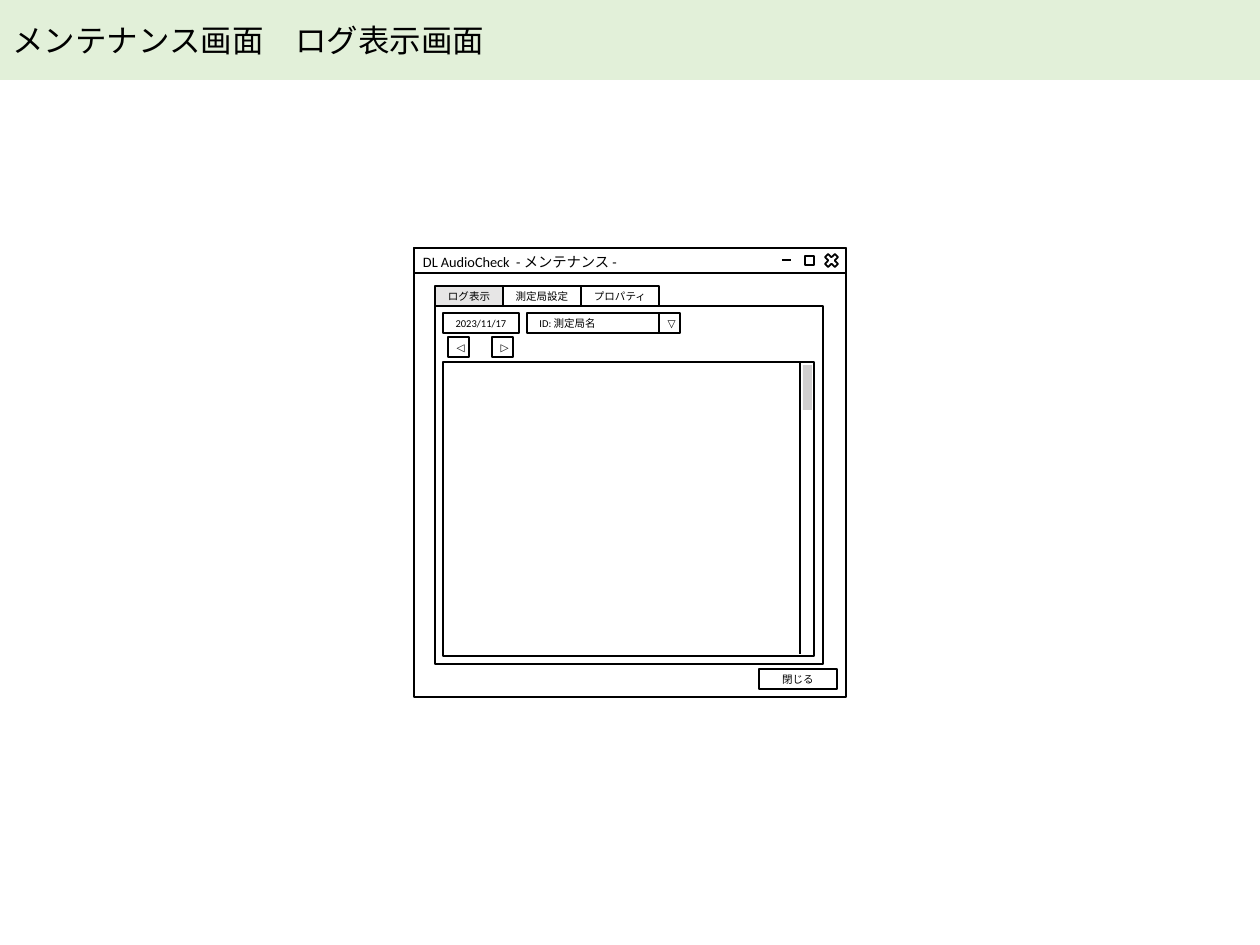
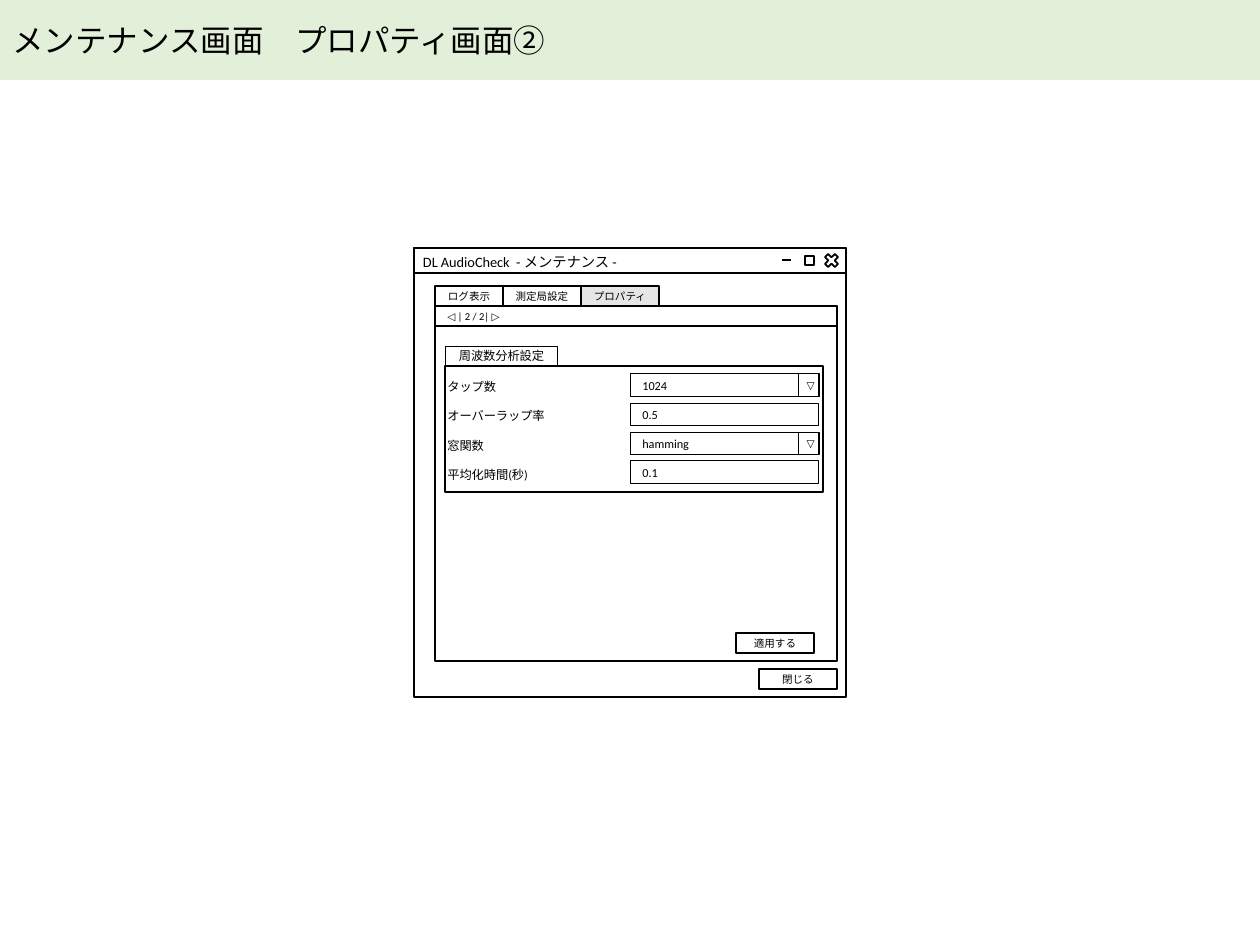
from lxml import etree
from pptx import Presentation
from pptx import util as u
from pptx.dml.color import RGBColor
from pptx.enum import shapes, text
from pptx.oxml.ns import qn

BLACK = RGBColor(0, 0, 0)
WHITE = RGBColor(255, 255, 255)
BAND = RGBColor(0xE2, 0xF0, 0xD9)
ACTIVE = RGBColor(0xE7, 0xE6, 0xE6)
THUMB = RGBColor(0xD0, 0xCE, 0xCE)
FONT = "Calibri"
PX = 914400 / 126
LEFT, CENTER = text.PP_ALIGN.LEFT, text.PP_ALIGN.CENTER
RECT = shapes.MSO_SHAPE.RECTANGLE


def box(s, x, y, w, h, label="", size=6, fill=None, line=1, align=CENTER, kind=RECT):
    sp = s.shapes.add_shape(kind, *(round(v * PX) for v in (x, y, w, h)))
    sp.shadow.inherit = False
    if fill is None:
        sp.fill.background()
    else:
        sp.fill.solid()
        sp.fill.fore_color.rgb = fill
    if line:
        sp.line.color.rgb = BLACK
        sp.line.width = u.Pt(line)
    else:
        sp.line.fill.background()
    if label:
        tf = sp.text_frame
        tf.text = label
        tf.vertical_anchor = text.MSO_ANCHOR.MIDDLE
        p = tf.paragraphs[0]
        p.alignment = align
        r = p.runs[0]
        r.font.size, r.font.name, r.font.color.rgb = u.Pt(size), FONT, BLACK
    return sp


def rule(s, x1, y1, x2, y2):
    cn = s.shapes.add_connector(shapes.MSO_CONNECTOR.STRAIGHT,
                                *(round(v * PX) for v in (x1, y1, x2, y2)))
    cn.line.color.rgb = BLACK
    cn.line.width = u.Pt(1)
    etree.SubElement(cn._element.spPr, qn("a:effectLst"))


prs = Presentation()
prs.slide_width, prs.slide_height = u.Inches(10), u.Inches(7.5)

# Shared: title band, window frame, tabs, close button
TABS = [("ログ表示", 68), ("測定局設定", 78), ("プロパティ", 78)]
PAGES = [("メンテナンス画面　ログ表示画面", "ログ表示", (388, 358)),
         ("メンテナンス画面　プロパティ画面②", "プロパティ", (402, 355))]
slides = []
for title, active, panel in PAGES:
    s = prs.slides.add_slide(prs.slide_layouts[6])
    slides.append(s)
    box(s, 0, 0, 1260, 80, title, 18, BAND, 0, LEFT)
    box(s, 414, 248, 432, 449, fill=WHITE)
    box(s, 435, 306, *panel, line=0.75)
    sp = box(s, 414, 248, 432, 25, "DL AudioCheck  - メンテナンス -", 8.2, WHITE, align=LEFT)
    tf = sp.text_frame
    tf.vertical_anchor = text.MSO_ANCHOR.TOP
    tf.margin_left = tf.margin_right = round(9 * PX)
    tf.margin_top = tf.margin_bottom = round(5 * PX)
    box(s, 822, 251, 19, 19, kind=shapes.MSO_SHAPE.MATH_MULTIPLY)
    box(s, 805, 256, 9, 9, fill=WHITE)
    rule(s, 782, 260, 791, 260)
    x = 435
    for name, w in TABS:
        box(s, x, 286, w, 20, name, fill=ACTIVE if name == active else None)
        x += w
    box(s, 759, 669, 78, 20, "閉じる")

log, prop = slides

# Log view: date, station selector, paging arrows, scrolling list
box(log, 443, 313, 76, 20, "2023/11/17")
box(log, 527, 313, 132, 20, "ID: 測定局名", align=LEFT)
for x, y, mark in [(659, 313, "▽"), (448, 337, "◁"), (492, 337, "▷")]:
    box(log, x, y, 21, 20, mark)
box(log, 443, 362, 371, 294, fill=WHITE)
rule(log, 800, 362, 800, 654)
box(log, 803, 365, 9, 45, fill=THUMB, line=0)

# Property view: pager, settings group, apply button
box(prop, 435, 306, 402, 20, "◁ | 2 / 2| ▷", align=LEFT)
box(prop, 445, 346, 113, 20, "周波数分析設定", 7, line=0.5)
box(prop, 445, 366, 378, 126, line=0.75)
box(prop, 736, 633, 78, 20, "適用する")

SETTINGS = [("タップ数", "1024", True), ("オーバーラップ率", "0.5", False),
            ("窓関数", "hamming", True), ("平均化時間(秒)", "0.1", False)]
tb = prop.shapes.add_textbox(*(round(v * PX) for v in (435, 373, 190, 117)))
tf = tb.text_frame
tf.word_wrap = True
for i, (name, value, dropdown) in enumerate(SETTINGS):
    p = tf.add_paragraph() if i else tf.paragraphs[0]
    p.text = name
    p.line_spacing = u.Pt(8.4)
    p.space_before = u.Pt(8.4 if i else 0)
    r = p.runs[0]
    r.font.size, r.font.name, r.font.color.rgb = u.Pt(7), FONT, BLACK
    y = 374 + 29 * i
    box(prop, 630, y, 189, 23, value, 7, line=0.5, align=LEFT)
    if dropdown:
        box(prop, 798, y, 21, 23, "▽", line=0.5)

prs.save("out.pptx")
